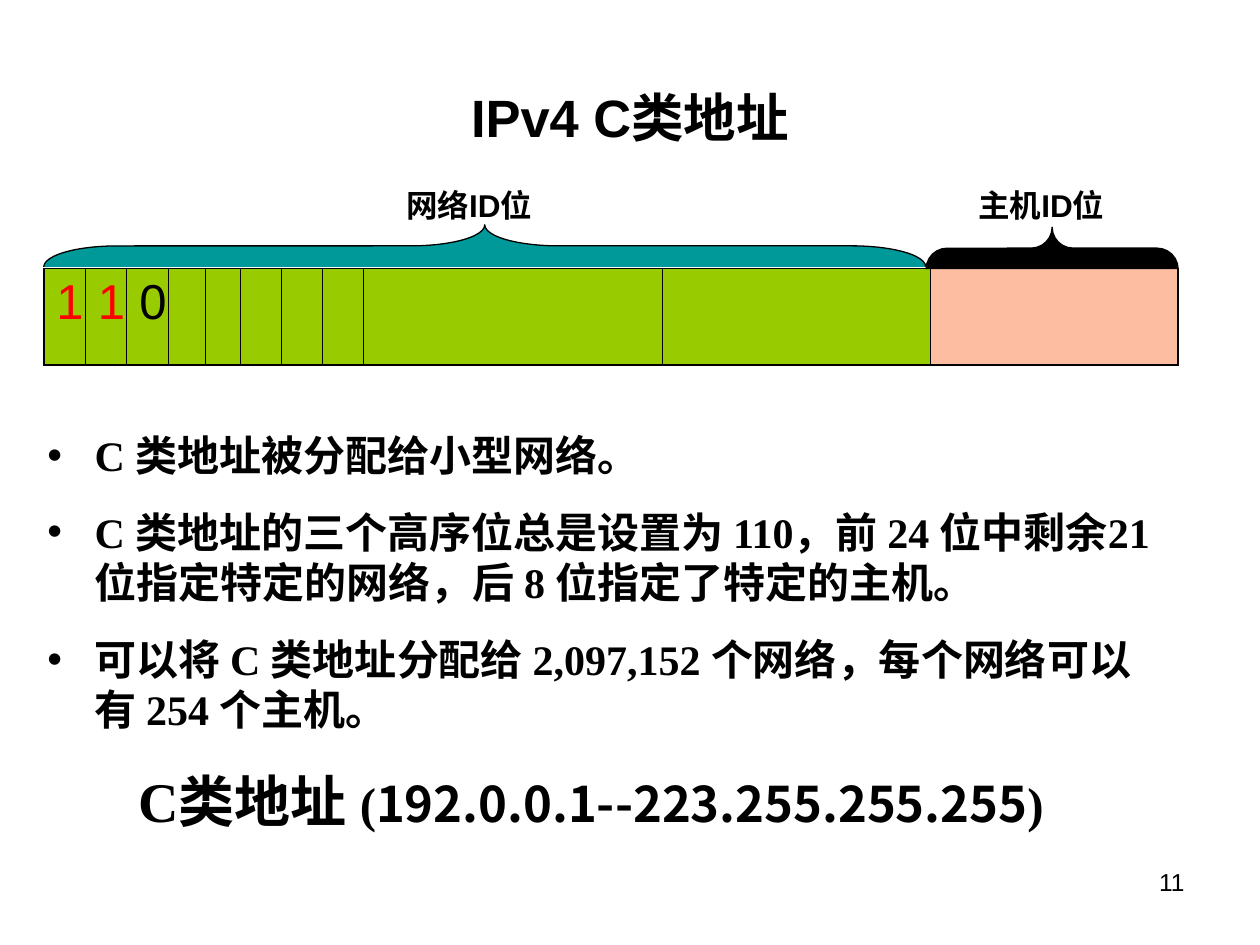
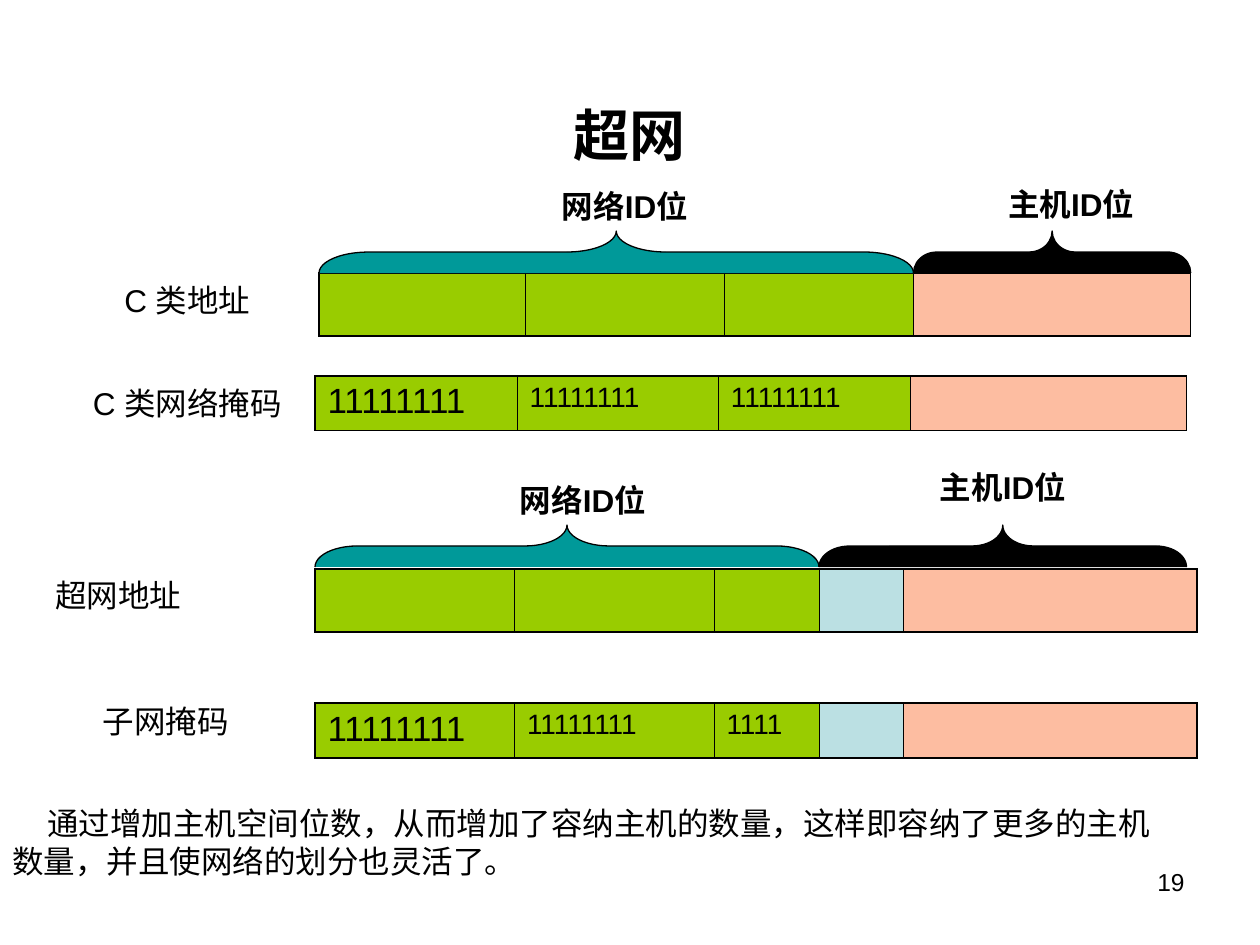
import dataclasses

import lxml.etree
import pptx
import pptx.dml.color
import pptx.enum.shapes
import pptx.enum.text
import pptx.oxml.ns
import pptx.util

Pt = pptx.util.Pt
qn = pptx.oxml.ns.qn
Align = pptx.enum.text.PP_ALIGN
Anchor = pptx.enum.text.MSO_ANCHOR
Fit = pptx.enum.text.MSO_AUTO_SIZE
Shapes = pptx.enum.shapes.MSO_SHAPE


@dataclasses.dataclass(frozen=True)
class Theme:
    # Colours
    ink: str = "000000"
    red: str = "FF0000"
    net: str = "99CC00"
    host: str = "FDBDA1"
    lent: str = "BBE0E3"
    teal: str = "009999"
    # Fonts
    sans: str = "Arial"
    serif: str = "Times New Roman"
    asian: str = "Noto Sans CJK SC"
    # Type sizes
    big: float = 32
    title: float = 30
    bit: float = 28
    body: float = 24
    mask: float = 20
    text: float = 18
    small: float = 16
    page: float = 14
    # Lines and spacing
    thick: float = 1.08
    thin: float = 0.45
    edge: float = 0.75
    depth: float = 24
    lead: float = 1.2


class Deck:
    def __init__(self, theme):
        self.theme = theme
        self.file = pptx.Presentation()
        self.file.slide_width, self.file.slide_height = Pt(720), Pt(540)
        self.slide = None

    def color(self, code):
        return pptx.dml.color.RGBColor.from_string(code)

    def run(self, para, text, size, font=None, color=None, bold=False):
        run = para.add_run()
        run.text = text
        run.font.size, run.font.bold = Pt(size), bold
        run.font.name = font or self.theme.sans
        run.font.color.rgb = self.color(color or self.theme.ink)
        props = run._r.get_or_add_rPr()
        lxml.etree.SubElement(props, qn("a:ea"), typeface=self.theme.asian)

    def para(self, para, size, align=Align.LEFT):
        para.alignment = align
        para.line_spacing = Pt(size * self.theme.lead)
        return para

    def place(self, shape, left, top, width, height):
        shape.left, shape.top = Pt(left), Pt(top)
        shape.width, shape.height = Pt(width), Pt(height)

    def start(self, text, size, top, height, anchor, page):
        """Add a slide with its title and page number."""
        self.slide = self.file.slides.add_slide(self.file.slide_layouts[5])
        title = self.slide.shapes.title
        self.place(title, 36, top, 648, height)
        frame = title.text_frame
        frame.auto_size, frame.vertical_anchor = Fit.NONE, anchor
        para = self.para(frame.paragraphs[0], size, Align.CENTER)
        self.run(para, text, size, bold=True)
        number = self.box(516, 492, 168, 37.5).paragraphs[0]
        self.run(self.para(number, self.theme.page, Align.RIGHT),
                 page, self.theme.page)

    def box(self, left, top, width, height, wrap=True):
        shape = self.slide.shapes.add_textbox(
            Pt(left), Pt(top), Pt(width), Pt(height))
        shape.text_frame.word_wrap = wrap
        return shape.text_frame

    def label(self, text, left, top, width, bold=False):
        frame = self.box(left, top, width, 28.8, wrap=False)
        para = self.para(frame.paragraphs[0], self.theme.text)
        self.run(para, text, self.theme.text, bold=bold)

    def heads(self, net, host):
        """Label the network part and the host part."""
        for text, spot in (("网络ID位", net), ("主机ID位", host)):
            self.label(text, *spot, 95, bold=True)

    def bullets(self, items, left, top, width, height):
        frame = self.box(left, top, width, height)
        for index, item in enumerate(items):
            para = frame.add_paragraph() if index else frame.paragraphs[0]
            self.para(para, self.theme.body)
            if index:
                para.space_before = Pt(15)
            props = para._p.get_or_add_pPr()
            props.set("marL", str(Pt(27)))
            props.set("indent", str(-Pt(27)))
            lxml.etree.SubElement(props, qn("a:buFont"), typeface=self.theme.sans)
            lxml.etree.SubElement(props, qn("a:buChar"), char="•")
            self.run(para, item, self.theme.body, self.theme.serif, bold=True)

    def brace(self, left, top, length, fill):
        """Lay a left brace on its side so that it points up."""
        deep = self.theme.depth
        shape = self.slide.shapes.add_shape(
            Shapes.LEFT_BRACE, Pt(left + (length - deep) / 2),
            Pt(top + (deep - length) / 2), Pt(deep), Pt(length))
        shape.rotation = 90
        shape.adjustments[0] = length / deep / 12
        shape.shadow.inherit = False
        shape.fill.solid()
        shape.fill.fore_color.rgb = self.color(fill)
        shape.line.color.rgb = self.color(self.theme.ink)
        shape.line.width = Pt(self.theme.edge)

    def braces(self, left, top, net, host):
        self.brace(left, top, net, self.theme.teal)
        self.brace(left + net, top, host, self.theme.ink)

    def border(self, cell, side, width):
        props = cell._tc.get_or_add_tcPr()
        line = lxml.etree.SubElement(props, qn("a:ln" + side), w=str(Pt(width)))
        fill = lxml.etree.SubElement(line, qn("a:solidFill"))
        lxml.etree.SubElement(fill, qn("a:srgbClr"), val=self.theme.ink)

    def strip(self, left, top, height, widths, fills, texts=()):
        """Draw an address as one row; texts hold (text, size, colour)."""
        look = self.theme
        table = self.slide.shapes.add_table(
            1, len(widths), Pt(left), Pt(top), Pt(sum(widths)), Pt(height)).table
        table.first_row = table.horz_banding = False
        table.rows[0].height = Pt(height)
        last = len(widths) - 1
        for index, (width, fill) in enumerate(zip(widths, fills)):
            table.columns[index].width = Pt(width)
            cell = table.cell(0, index)
            self.border(cell, "L", look.thin if index else look.thick)
            self.border(cell, "R", look.thin if index < last else look.thick)
            self.border(cell, "T", look.thick)
            self.border(cell, "B", look.thick)
            cell.fill.solid()
            cell.fill.fore_color.rgb = self.color(fill)
            if index < len(texts):
                text, size, color = texts[index]
                self.run(cell.text_frame.paragraphs[0], text, size, color=color)


def class_c(deck):
    look = deck.theme
    deck.start("IPv4 C类地址", look.title, 21.6, 90, Anchor.MIDDLE, "11")

    # Address bits
    deck.bullets([
        "C 类地址被分配给小型网络。",
        "C 类地址的三个高序位总是设置为 110，前 24 位中剩余21位指定特定的网络，"
        "后 8 位指定了特定的主机。",
        "可以将 C 类地址分配给 2,097,152 个网络，每个网络可以有 254 个主机。",
    ], 20, 242, 648, 224)
    widths = [23.7] * 3 + [21, 20.3] + [23.4] * 3 + [171, 153, 141.5]
    bits = [(bit, look.bit, look.red if bit == "1" else look.ink) for bit in "110"]
    deck.strip(25, 153.5, 55.2, widths, [look.net] * 10 + [look.host], bits)
    deck.brace(25, 128.5, 504, look.teal)
    deck.brace(529.2, 129.8, 144, look.ink)
    deck.heads((225, 102.5), (552, 102.5))

    # Address range
    para = deck.para(deck.box(72, 434.2, 552, 79).paragraphs[0], look.big)
    for text, size, font in (
            ("C类地址 ", look.big, look.serif),
            ("(", look.bit, look.serif),
            ("192.0.0.1--223.255.255.255", look.bit, look.asian),
            (")", look.bit, look.serif)):
        deck.run(para, text, size, font, bold=True)


def supernet(deck):
    look = deck.theme
    deck.start("超网", look.big, 54, 38, Anchor.TOP, "19")
    plain = [look.net] * 3 + [look.host]
    split = [look.net] * 3 + [look.lent, look.host]
    wide = [114, 114, 60, 48, 168]
    full = "1" * 8

    def mask(*texts):
        sizes = (look.mask, look.small, look.small)
        return [(text, size, look.ink) for text, size in zip(texts, sizes)]

    # Class C address and mask
    deck.strip(182.3, 156.2, 36, [117.7, 113.8, 108, 158.5], plain)
    deck.braces(182.3, 132, 339.7, 158.4)
    deck.heads((314, 103.2), (569, 102.2))
    deck.strip(180, 214.8, 31.2, [115.5, 115, 109.7, 157.8], plain,
               mask(full, full, full))

    # Supernet address and mask
    deck.strip(180, 325.2, 36, wide, split)
    deck.braces(180, 300, 288, 210)
    deck.heads((290, 271.5), (530, 264.2))
    deck.strip(180, 401.8, 31.2, wide, split, mask(full, full, "1111"))

    # Row labels
    for text, left, top, width in (
            ("C 类地址", 64, 157, 90.7),
            ("C 类网络掩码", 46, 216, 126.7),
            ("超网地址", 24.5, 325.4, 86.4),
            ("子网掩码", 51.8, 397.4, 86.4)):
        deck.label(text, left, top, width)

    # Closing note
    para = deck.para(deck.box(0, 456, 678, 50.4).paragraphs[0], look.text)
    para._p.get_or_add_pPr().set("indent", str(Pt(20)))
    deck.run(para, "通过增加主机空间位数，从而增加了容纳主机的数量，"
             "这样即容纳了更多的主机数量，并且使网络的划分也灵活了。", look.text)


def main():
    deck = Deck(Theme())
    class_c(deck)
    supernet(deck)
    deck.file.save("out.pptx")


if __name__ == "__main__":
    main()
